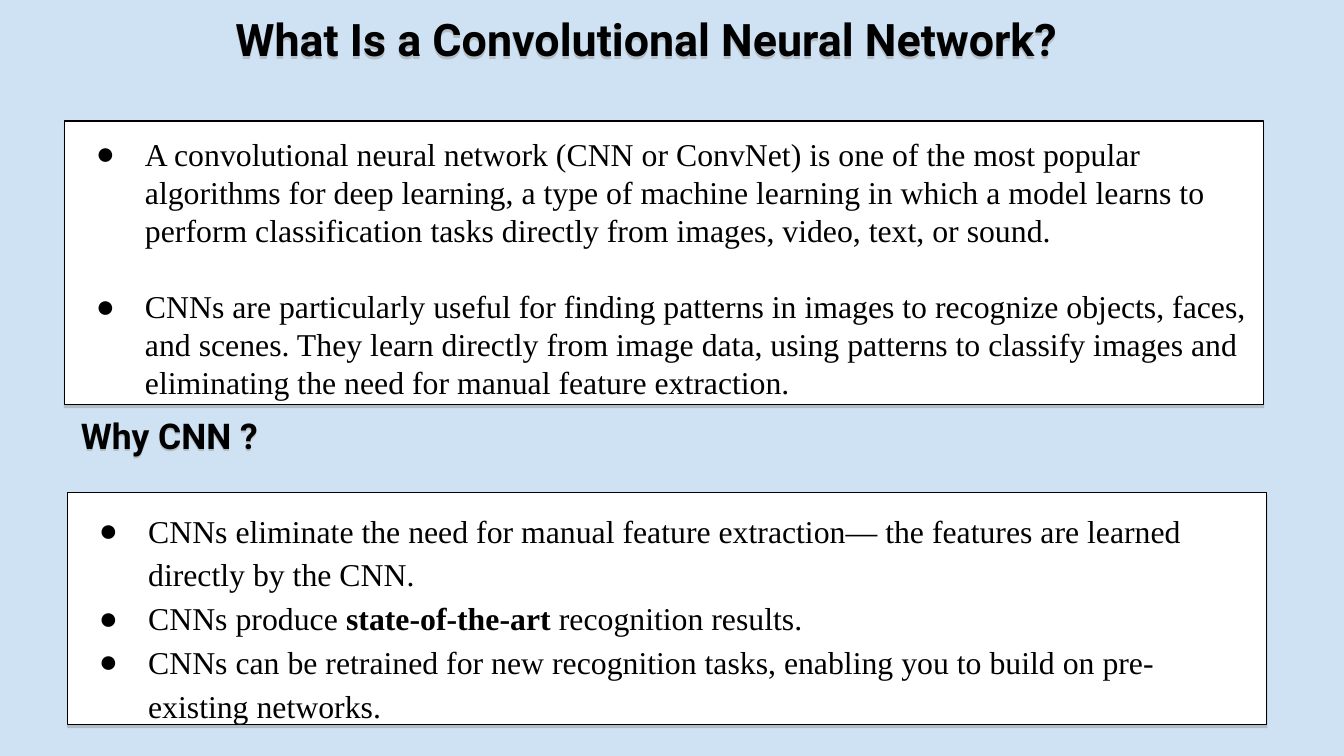
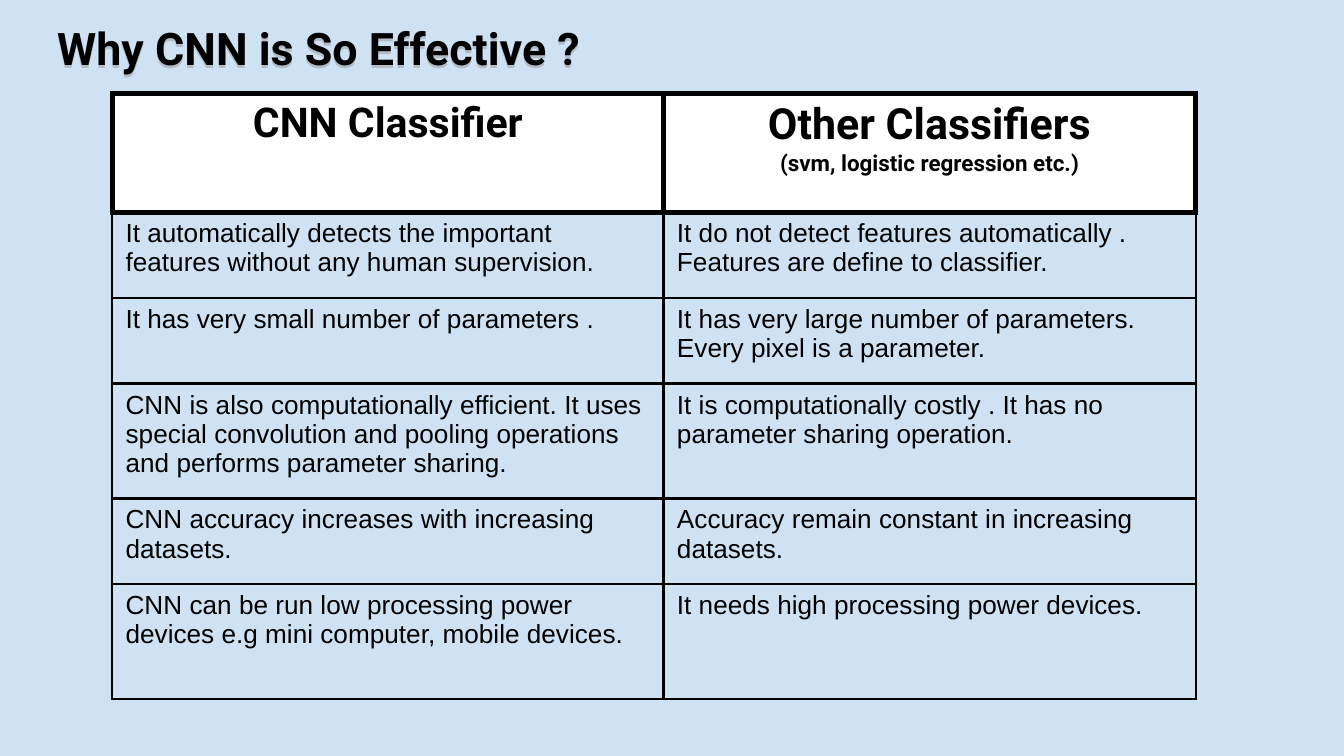
from lxml import etree
from pptx import Presentation
from pptx import util as u
from pptx.dml.color import RGBColor
from pptx.enum import text
from pptx.oxml import parse_xml
from pptx.oxml.ns import qn

SKY = RGBColor(0xCF, 0xE2, 0xF3)
WHITE = RGBColor(0xFF, 0xFF, 0xFF)
BLACK = RGBColor(0, 0, 0)
SHADOW = RGBColor(0x99, 0x99, 0x99)
HEADING_FACE, LIST_FACE, TABLE_FACE = "Roboto", "Times New Roman", "Arial"
DRAWING_NS = "http://schemas.openxmlformats.org/drawingml/2006/main"


def style(paragraph, size, face, bold=False):
    font = paragraph.font
    font.size, font.name, font.bold = u.Pt(size), face, bold
    font.color.rgb = BLACK


def place(shape, left, top, width, height):
    shape.left, shape.top = u.Cm(left), u.Cm(top)
    shape.width, shape.height = u.Cm(width), u.Cm(height)
    frame = shape.text_frame
    frame.word_wrap = True
    frame.auto_size = text.MSO_AUTO_SIZE.NONE
    frame.vertical_anchor = text.MSO_ANCHOR.TOP
    frame.margin_left = frame.margin_right = u.Cm(0.25)
    frame.margin_top = frame.margin_bottom = u.Cm(0.25)
    shape.shadow.inherit = False
    effects = shape.element.spPr.find(qn("a:effectLst"))
    effects.append(parse_xml(
        f'<a:outerShdw xmlns:a="{DRAWING_NS}" dist="{u.Pt(1.5)}" dir="5400000" algn="bl" '
        f'rotWithShape="0"><a:srgbClr val="{SHADOW}"><a:alpha val="50000"/></a:srgbClr>'
        '</a:outerShdw>'))
    return frame


prs = Presentation()
prs.slide_width, prs.slide_height = u.Cm(25.4), u.Cm(14.29)
backdrop = prs.slide_master.background.fill
backdrop.solid()
backdrop.fore_color.rgb = SKY

definition = prs.slides.add_slide(prs.slide_layouts[3])
effectiveness = prs.slides.add_slide(prs.slide_layouts[5])
reasons_heading = definition.shapes.add_textbox(0, 0, 0, 0)

headings = [
    (definition.shapes.title, "What Is a Convolutional Neural Network?", 24,
     (4.2, -0.02, 16.82, 1.37)),
    (reasons_heading, "Why CNN ?", 19, (1.28, 7.57, 3.99, 1.37)),
    (effectiveness.shapes.title, "Why CNN is So Effective ?", 24,
     (0.83, 0.15, 16.36, 2.11)),
]
for heading, wording, size, area in headings:
    frame = place(heading, *area)
    frame.text = wording
    frame.paragraphs[0].alignment = text.PP_ALIGN.LEFT
    style(frame.paragraphs[0], size, HEADING_FACE, True)

what_it_is = [
    ["A convolutional neural network (CNN or ConvNet) is one of the most popular "
     "algorithms for deep learning, a type of machine learning in which a model learns "
     "to perform classification tasks directly from images, video, text, or sound."],
    ["CNNs are particularly useful for finding patterns in images to recognize objects, "
     "faces, and scenes. They learn directly from image data, using patterns to classify "
     "images and eliminating the need for manual feature extraction."],
]
why_use_it = [
    ["CNNs eliminate the need for manual feature extraction— the features are learned "
     "directly by the CNN."],
    ["CNNs produce ", "state-of-the-art", " recognition results."],
    ["CNNs can be retrained for new recognition tasks, enabling you to build on "
     "pre-existing networks."],
]
panels = [
    (1, what_it_is, (1.22, 2.29, 22.66, 5.36), 1.0, 20.5),
    (2, why_use_it, (1.28, 9.31, 22.66, 4.39), 1.15, 0),
]
for index, points, area, line_spacing, gap in panels:
    panel = definition.placeholders[index]
    panel.fill.solid()
    panel.fill.fore_color.rgb = WHITE
    panel.line.color.rgb = BLACK
    panel.line.width = u.Pt(0.75)
    frame = place(panel, *area)
    for number, pieces in enumerate(points):
        point = frame.add_paragraph() if number else frame.paragraphs[0]
        point.line_spacing = line_spacing
        point.space_before = u.Pt(gap if number else 0)
        properties = point._p.get_or_add_pPr()
        properties.set("marL", str(u.Cm(1.27)))
        properties.set("indent", str(u.Cm(-0.93)))
        bullet_color = etree.SubElement(properties, qn("a:buClr"))
        etree.SubElement(bullet_color, qn("a:srgbClr"), val=str(BLACK))
        etree.SubElement(properties, qn("a:buChar"), char="●")
        style(point, 17, LIST_FACE)
        for piece in pieces:
            run = point.add_run()
            run.text = piece
            if piece == "state-of-the-art":
                run.font.bold = True

comparison = [
    (["CNN Classifier"], ["Other Classifiers", "(svm, logistic regression etc.)"]),
    (["It automatically detects the important features without any human supervision."],
     ["It do not detect features automatically . Features are define to classifier."]),
    (["It has very small number of parameters ."],
     ["It has very large number of parameters. Every pixel is a parameter."]),
    (["CNN is also computationally efficient. It uses special convolution and pooling "
      "operations and performs parameter sharing."],
     ["It is computationally costly . It has no parameter sharing operation."]),
    (["CNN accuracy increases with increasing datasets."],
     ["Accuracy remain constant in increasing datasets."]),
    (["CNN can be run low processing power devices e.g mini computer, mobile devices."],
     ["It needs high processing power devices."]),
]
header_sizes = [(22,), (23, 12)]
column_widths = [10.42, 10.06]
row_heights = [2.25, 1.62, 1.62, 2.17, 1.62, 2.17]
table = effectiveness.shapes.add_table(
    len(row_heights), len(column_widths), u.Cm(2.12), u.Cm(1.76),
    u.Cm(sum(column_widths)), u.Cm(sum(row_heights))).table
table.first_row = table.horz_banding = False
for column, width in zip(table.columns, column_widths):
    column.width = u.Cm(width)
for row, height in zip(table.rows, row_heights):
    row.height = u.Cm(height)

for r, claims in enumerate(comparison):
    for c, lines in enumerate(claims):
        cell = table.cell(r, c)
        cell.text = "\n".join(lines)
        for n, paragraph in enumerate(cell.text_frame.paragraphs):
            if r == 0:
                paragraph.alignment = text.PP_ALIGN.CENTER
                style(paragraph, header_sizes[c][n], HEADING_FACE, True)
            else:
                style(paragraph, 14, TABLE_FACE)
        properties = cell._tc.get_or_add_tcPr()
        for side in ("lnL", "lnR", "lnT", "lnB"):
            heavy = r == 0 or (r == 1 and side == "lnT")
            border = etree.SubElement(properties, qn(f"a:{side}"),
                                      w=str(u.Pt(3 if heavy else 1.47)))
            ink = etree.SubElement(border, qn("a:solidFill"))
            etree.SubElement(ink, qn("a:srgbClr"), val=str(BLACK))
        if r == 0:
            cell.fill.solid()
            cell.fill.fore_color.rgb = WHITE
        else:
            cell.fill.background()

prs.save("out.pptx")
